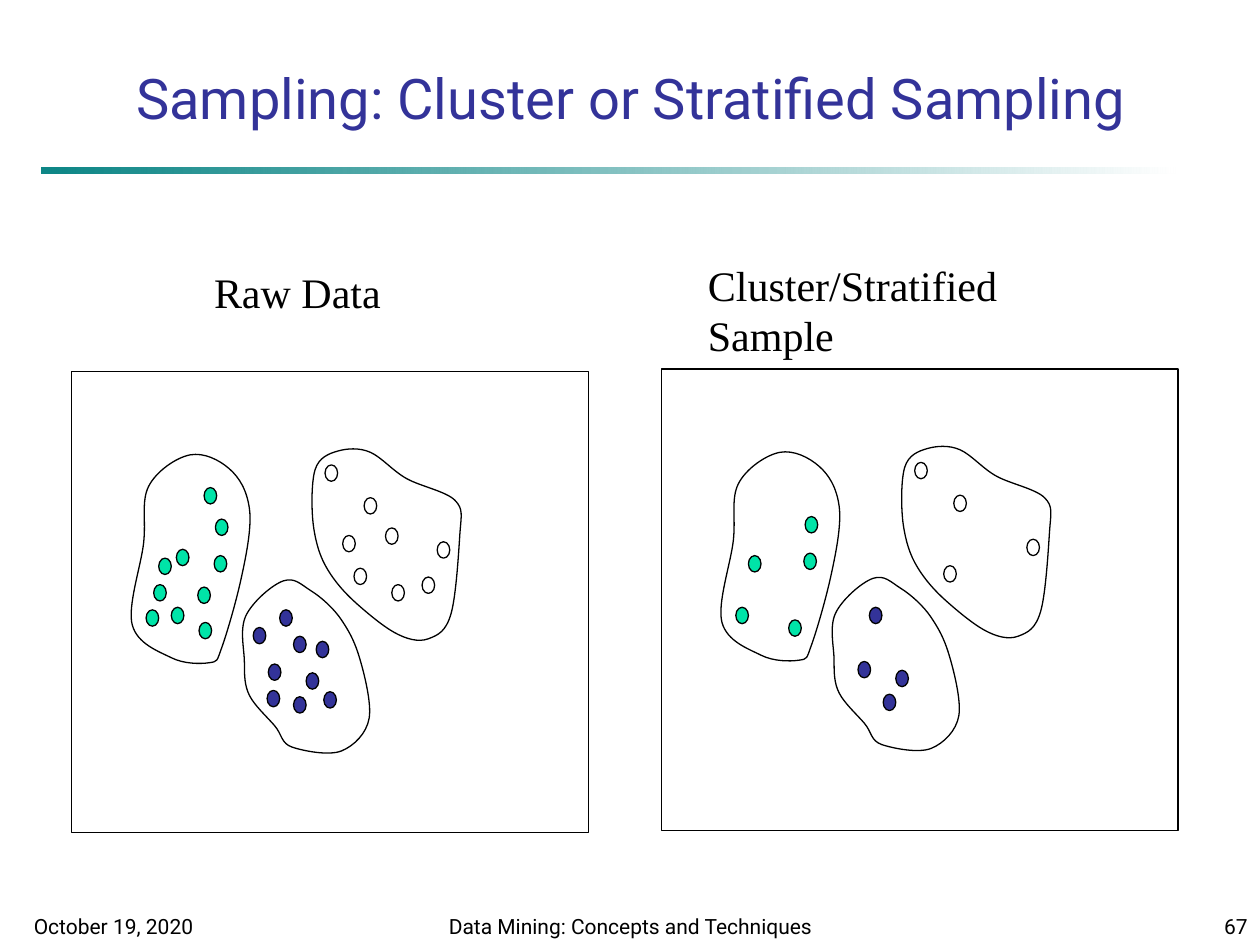
from lxml.etree import SubElement
from pptx import Presentation
from pptx.dml.color import RGBColor
from pptx.enum.shapes import MSO_SHAPE
from pptx.enum.text import MSO_ANCHOR, PP_ALIGN
from pptx.oxml.ns import qn
from pptx.util import Pt

EMU_PER_PX = 9144  # 100 px to the inch
COLORS = {"text": "000000", "title": "333399", "rule": "008080", "white": "FFFFFF",
          "blue": "333399", "green": "00E4A8", "line": "000000"}
SANS, SERIF = "Roboto", "Times New Roman"
DOT_WIDTH, DOT_HEIGHT = 10, 13


def px(length):
    return length * EMU_PER_PX


def color(name):
    return RGBColor.from_string(COLORS[name])


def smooth(corners):
    """Bézier points, three per curve, of a closed loop through the corners."""
    def shifted(index, direction):
        before, here = corners[index - 1], corners[index]
        after = corners[(index + 1) % len(corners)]
        return tuple(round(h + direction * (a - b) / 6)
                     for b, h, a in zip(before, here, after))

    points = []
    for index in range(len(corners)):
        following = (index + 1) % len(corners)
        points += [shifted(index, 1), shifted(following, -1), corners[following]]
    return points


class SlideBuilder:
    def __init__(self, slide):
        self.shapes = slide.shapes

    def _style(self, shape, fill=None):
        shape.shadow.inherit = False
        if fill:
            shape.fill.solid()
            shape.fill.fore_color.rgb = color(fill)
        else:
            shape.fill.background()
        shape.line.color.rgb = color("line")
        shape.line.width = Pt(0.75)

    def text(self, content, left, top, width, height, size, font, name="text",
             align=PP_ALIGN.LEFT, anchor=MSO_ANCHOR.TOP, wrap=True):
        frame = self.shapes.add_textbox(px(left), px(top), px(width), px(height)).text_frame
        frame.word_wrap = wrap
        frame.vertical_anchor = anchor
        frame.text = content
        paragraph = frame.paragraphs[0]
        paragraph.alignment = align
        style = paragraph.runs[0].font
        style.size, style.name, style.color.rgb = Pt(size), font, color(name)

    def shape(self, kind, left, top, width, height, fill=None):
        shape = self.shapes.add_shape(kind, px(left), px(top), px(width), px(height))
        self._style(shape, fill)
        return shape

    def fading_rule(self, left, top, width, height):
        rule = self.shape(MSO_SHAPE.RECTANGLE, left, top, width, height)
        rule.line.fill.background()
        rule.fill.gradient()
        rule.fill.gradient_angle = 0
        for stop, name in zip(rule.fill.gradient_stops, ("rule", "white")):
            stop.color.rgb = color(name)
        start = rule._element.spPr.find(".//" + qn("a:srgbClr"))
        SubElement(start, qn("a:alpha"), val="95000")

    def outline(self, corners, dx, dy):
        builder = self.shapes.build_freeform(*corners[0], scale=EMU_PER_PX)
        builder.add_line_segments(smooth(corners), close=True)
        blob = builder.convert_to_shape(px(dx), px(dy))
        self._style(blob)
        # Every three line segments become one curve
        segments = list(blob._element.iter(qn("a:lnTo")))
        for first, second, third in zip(*[iter(segments)] * 3):
            first.tag = qn("a:cubicBezTo")
            for extra in (second, third):
                first.append(extra[0])
                extra.getparent().remove(extra)


# Each cluster: dots kept in the sample, the other dots, and the outline
CLUSTERS = {
    "white": (
        [(289, 395), (281, 451), (347, 430), (258, 369)],
        [(306, 419), (272, 425), (335, 458), (311, 464)],
        [(361, 397), (365, 424), (358, 487), (340, 507), (313, 502), (283, 479),
         (260, 452), (249, 419), (250, 373), (268, 358), (294, 359), (323, 380)]),
    "blue": (
        [(233, 553), (243, 534), (213, 527), (222, 484)],
        [(201, 498), (251, 509), (212, 548), (233, 505), (257, 549)],
        [(218, 576), (198, 552), (194, 526), (195, 489), (225, 461), (247, 469),
         (271, 492), (285, 521), (293, 570), (271, 596), (232, 593)]),
    "green": (
        [(116, 484), (126, 443), (158, 494), (170, 441), (171, 412)],
        [(136, 482), (122, 464), (157, 466), (140, 436), (162, 387)],
        [(191, 461), (176, 514), (166, 526), (136, 522), (105, 496), (114, 431),
         (118, 386), (151, 361), (182, 372), (198, 404)]),
}


def draw_panel(builder, dx, dy, sample_only):
    builder.shape(MSO_SHAPE.RECTANGLE, 57 + dx, 295 + dy, 410, 366)
    for name, (sampled, others, corners) in CLUSTERS.items():
        for left, top in sampled if sample_only else sampled + others:
            builder.shape(MSO_SHAPE.FLOWCHART_CONNECTOR, left + dx, top + dy,
                          DOT_WIDTH, DOT_HEIGHT, name)
        builder.outline(corners, dx, dy)


def main():
    deck = Presentation()
    deck.slide_width, deck.slide_height = px(1000), px(750)
    builder = SlideBuilder(deck.slides.add_slide(deck.slide_layouts[6]))

    # Rule, footer and title
    builder.fading_rule(33, 133, 900, 5)
    for content, left, width, align in (
            ("October 19, 2020", 17, 208, PP_ALIGN.LEFT),
            ("Data Mining: Concepts and Techniques", 342, 317, PP_ALIGN.CENTER),
            ("67", 792, 208, PP_ALIGN.RIGHT)):
        builder.text(content, left, 708, width, 42, 12, SANS,
                     align=align, anchor=MSO_ANCHOR.BOTTOM)
    builder.text("Sampling: Cluster or Stratified Sampling", 25, 42, 952, 67, 32, SANS,
                 "title", PP_ALIGN.CENTER, MSO_ANCHOR.BOTTOM)

    # Raw data beside its sample
    draw_panel(builder, 0, 0, sample_only=False)
    draw_panel(builder, 468, -2, sample_only=True)
    builder.text("Raw Data", 160, 207, 161, 50, 24, SERIF, wrap=False)
    builder.text("Cluster/Stratified Sample", 552, 201, 345, 50, 24, SERIF)

    deck.save("out.pptx")


if __name__ == "__main__":
    main()
